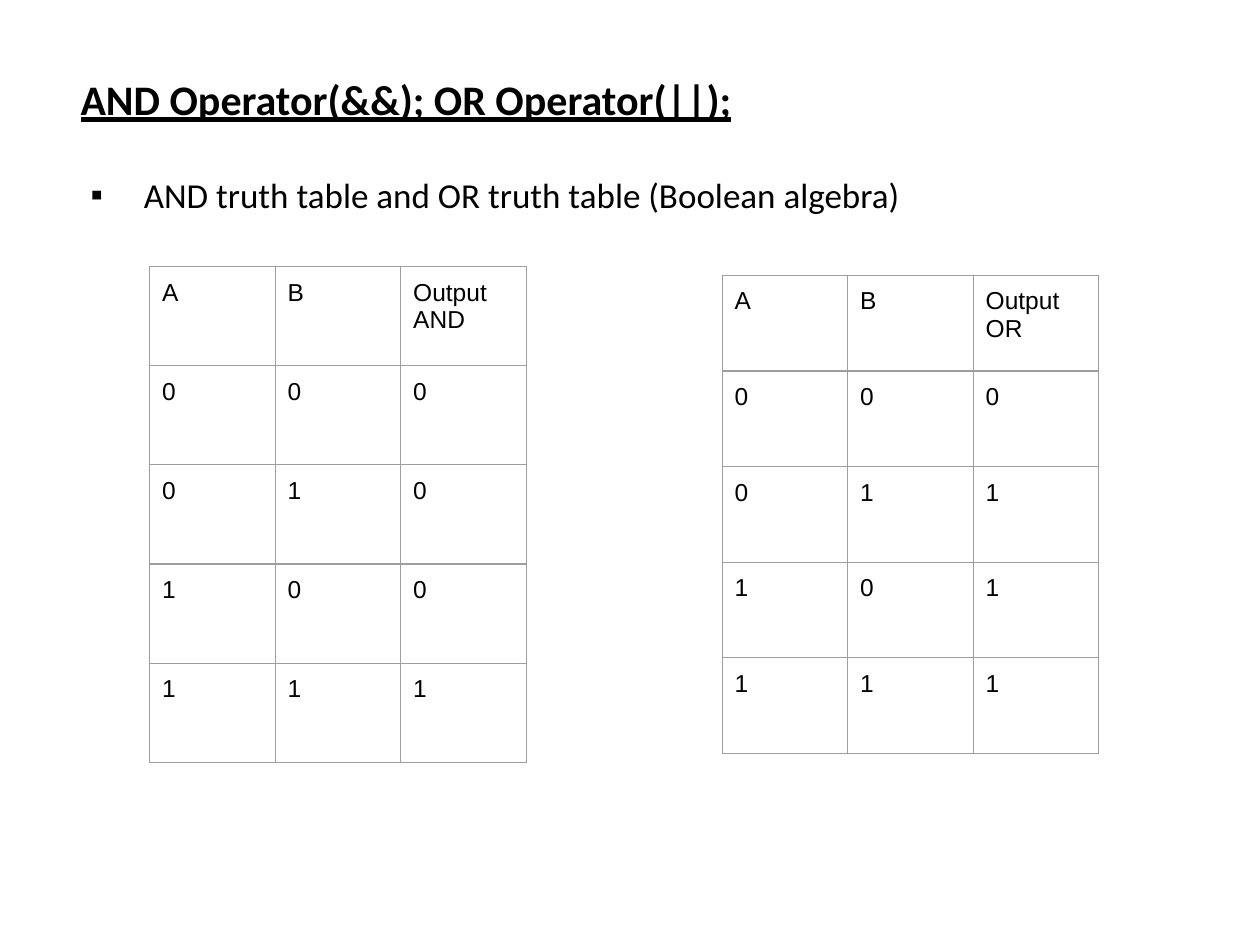
from dataclasses import dataclass
from itertools import product

from lxml.etree import SubElement
from pptx import Presentation
from pptx.dml.color import RGBColor
from pptx.enum.text import MSO_ANCHOR, MSO_AUTO_SIZE, PP_ALIGN
from pptx.oxml import parse_xml
from pptx.oxml.ns import nsdecls, qn
from pptx.util import Cm, Pt


@dataclass(frozen=True)
class Theme:
    ink: str = "000000"
    grid: str = "9E9E9E"
    text_font: str = "Calibri"
    table_font: str = "Arial"
    title_size: int = 24
    body_size: int = 20
    cell_size: int = 14
    grid_width: float = 0.75


def write(tf, text, *, font, size, color, bold=False, underline=False):
    """Put formatted text in the first paragraph of a text frame."""
    p = tf.paragraphs[0]
    p.alignment = PP_ALIGN.LEFT
    r = p.add_run()
    r.text = text
    r.font.name, r.font.size = font, Pt(size)
    r.font.bold, r.font.underline = bold, underline
    r.font.color.rgb = RGBColor.from_string(color)
    return p


class SlideBuilder:
    def __init__(self, prs, theme):
        self.theme = theme
        self.s = prs.slides.add_slide(prs.slide_layouts[5])

    def title(self, text, left, top, width, height):
        sp = self.s.shapes.title
        sp.left, sp.top, sp.width, sp.height = left, top, width, height
        tf = sp.text_frame
        tf.auto_size, tf.word_wrap = MSO_AUTO_SIZE.NONE, True
        tf.vertical_anchor = MSO_ANCHOR.TOP
        write(tf, text, font=self.theme.text_font, size=self.theme.title_size,
              color=self.theme.ink, bold=True, underline=True)

    def bullet(self, text, left, top, width, height):
        tf = self.s.shapes.add_textbox(left, top, width, height).text_frame
        tf.word_wrap = True
        p = write(tf, text, font=self.theme.text_font,
                  size=self.theme.body_size, color=self.theme.ink)
        pPr = p._p.get_or_add_pPr()
        pPr.set("marL", str(Cm(1.27)))
        pPr.set("indent", str(Cm(-1.07)))
        SubElement(pPr, qn("a:buFont"), typeface=self.theme.table_font)
        SubElement(pPr, qn("a:buChar"), char="▪")

    def truth_table(self, name, op, left, top, width, height):
        # Header and one row for each pair of inputs
        rows = [("A", "B", f"Output {name}")]
        rows += [(a, b, op(a, b)) for a, b in product((0, 1), repeat=2)]
        table = self.s.shapes.add_table(len(rows), 3, left, top, width, height).table
        table.first_row = table.horz_banding = False
        for row, values in zip(table.rows, rows):
            for cell, value in zip(row.cells, values):
                self.cell(cell, str(value))

    def cell(self, cell, text):
        cell.fill.background()
        cell.margin_left = cell.margin_right = Cm(0.25)
        cell.margin_top = cell.margin_bottom = Cm(0.25)
        write(cell.text_frame, text, font=self.theme.table_font,
              size=self.theme.cell_size, color=self.theme.ink)
        # Cell borders come before the fill
        tcPr = cell._tc.get_or_add_tcPr()
        for i, side in enumerate("LRTB"):
            tcPr.insert(i, parse_xml(
                f'<a:ln{side} {nsdecls("a")} w="{Pt(self.theme.grid_width)}">'
                f'<a:solidFill><a:srgbClr val="{self.theme.grid}"/></a:solidFill>'
                f'</a:ln{side}>'))


prs = Presentation()
prs.slide_width, prs.slide_height = Cm(25.4), Cm(19.05)
slide = SlideBuilder(prs, Theme())

# Heading and bullet
slide.title("AND Operator(&&); OR Operator(||);",
            Cm(1.37), Cm(1.35), Cm(23.16), Cm(2))
slide.bullet("AND truth table and OR truth table (Boolean algebra)",
             Cm(1.38), Cm(3.37), Cm(20.52), Cm(2))

# Truth tables
slide.truth_table("AND", lambda a, b: a & b, Cm(3.02), Cm(5.37), Cm(7.59), Cm(10))
slide.truth_table("OR", lambda a, b: a | b, Cm(14.56), Cm(5.55), Cm(7.59), Cm(9.64))

prs.save("out.pptx")
